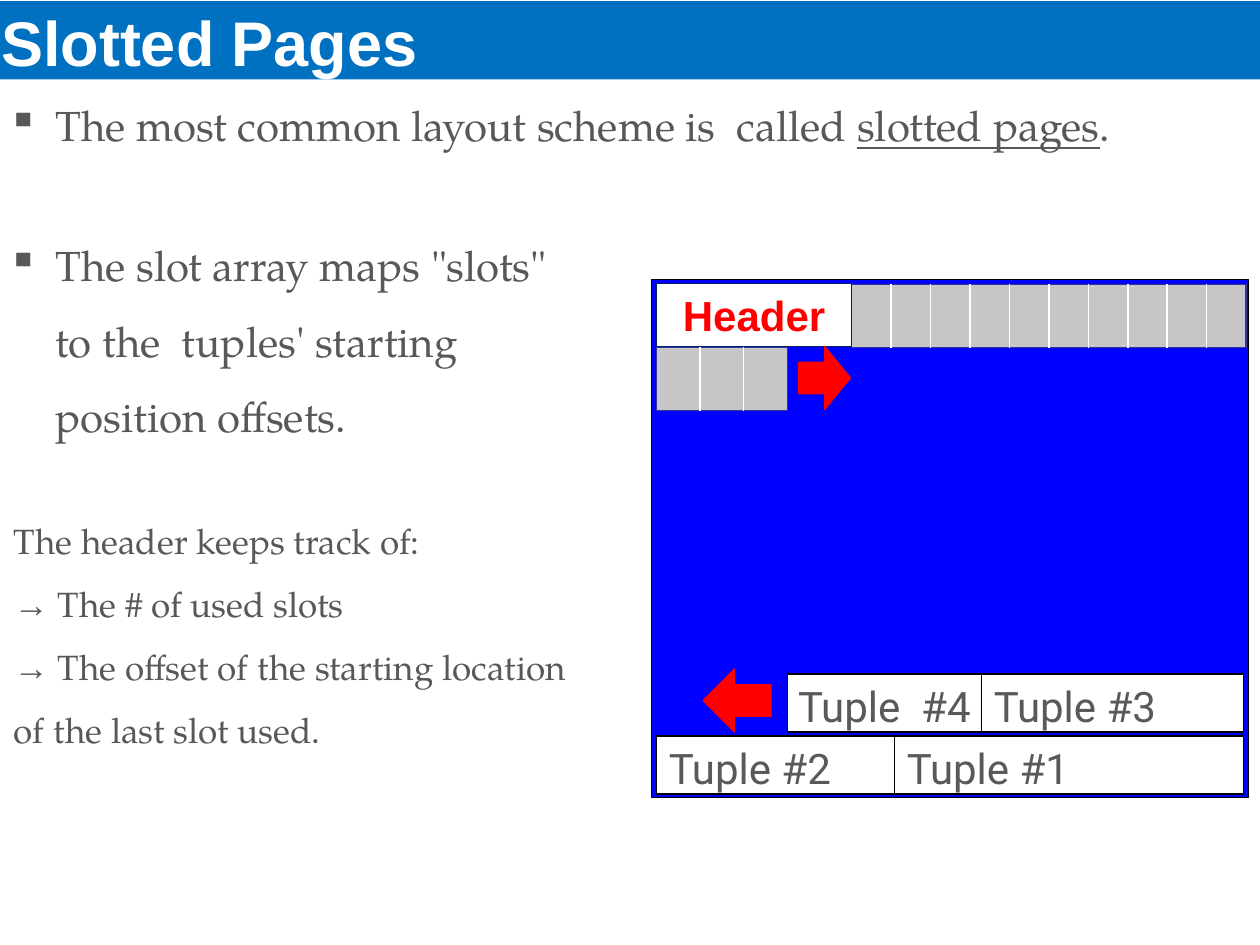
from lxml.etree import SubElement
from pptx import Presentation
from pptx.dml.color import RGBColor
from pptx.enum.shapes import MSO_SHAPE as Shape
from pptx.enum.text import MSO_ANCHOR as Anchor, MSO_AUTO_SIZE as Fit, PP_ALIGN as Align
from pptx.oxml.ns import qn
from pptx.util import Inches, Pt

# Content
TITLE = "Slotted Pages"
SERIF, ARROW_FONT = "TeX Gyre Pagella", "Times New Roman"
SCHEME = [[("The most common layout scheme is  called ", {}),
           ("slotted pages", {"underline": True}), (".", {})]]
SLOT_ARRAY = [[("The slot array maps \"slots\" to the  tuples' starting position offsets.", {})]]
HEADER_ROLE = [[("The header keeps track of:", {})]] + [
    [("→ ", {"name": ARROW_FONT}), (item, {})]
    for item in ("The # of used slots",
                 "The offset of the starting location of the last slot used.")]

# Text blocks: place, paragraphs, size, bulleted, format of paragraphs, space before the first
BLOCKS = [
    ((0.05, 0.77, 9.56, 0.42), SCHEME, 24, True, {"line_spacing": Pt(25.9)}, 4.2),
    ((0.05, 1.64, 4.58, 1.82), SLOT_ARRAY, 24, True, {"line_spacing": 1.5}, 25.1),
    ((0.1, 3.9, 4.66, 2.03), HEADER_ROLE, 20, False, {"line_spacing": 1.5}, 21.8),
]

# Page diagram: edges shared by its parts
LEFT, RIGHT = 5.21, 9.87
HEADER_TOP, HEADER_RIGHT, ROW = 2.25, 6.76, 0.5
TUPLE_TOPS, TUPLE_HEIGHT = (5.35, 5.84), 0.46
TUPLES = [  # text, row, left edge, right edge, alignment
    ("Tuple #2", 1, LEFT, 7.1, Align.LEFT),
    ("Tuple #1", 1, 7.1, RIGHT, Align.LEFT),
    ("Tuple #3", 0, 7.79, RIGHT, Align.LEFT),
    ("Tuple  #4", 0, 6.25, 7.79, Align.CENTER),
]
SLOTS = [  # left, top, width, slots
    (LEFT, HEADER_TOP + ROW + 0.01, 1.04, 3),
    (HEADER_RIGHT, HEADER_TOP + 0.01, 3.13, 10),
]
ARROWS = [
    (Shape.RIGHT_ARROW, (6.34, 2.75, 0.41, 0.5)),
    (Shape.LEFT_ARROW, (5.58, 5.31, 0.54, 0.5)),
]


def color(code):
    return RGBColor.from_string(code)


def assign(target, values):
    for name, value in values.items():
        setattr(target, name, value)


def add_span(para, text, code, **font):
    span = para.add_run()
    span.text = text
    assign(span.font, font)
    span.font.color.rgb = color(code)


def add_box(kind, place, fill, line=None, width=0.75):
    box = page.shapes.add_shape(kind, *map(Inches, place))
    box.shadow.inherit = False
    box.fill.solid()
    box.fill.fore_color.rgb = color(fill)
    if line:
        box.line.color.rgb = color(line)
        box.line.width = Pt(width)
    else:
        box.line.fill.background()
    return box


def label(box, text, code, align=Align.LEFT, frame=None, **font):
    assign(box.text_frame, {"vertical_anchor": Anchor.TOP, **(frame or {})})
    para = box.text_frame.paragraphs[0]
    para.alignment = align
    add_span(para, text, code, **font)
    return para


def add_block(place, paragraphs, size, bulleted, layout, first_space):
    frame = page.shapes.add_textbox(*map(Inches, place)).text_frame
    assign(frame, {"word_wrap": True, "auto_size": Fit.SHAPE_TO_FIT_TEXT, "margin_left": 0,
                   "margin_top": Inches(0.06), "margin_right": 0, "margin_bottom": 0})
    for index, spans in enumerate(paragraphs):
        para = frame.add_paragraph() if index else frame.paragraphs[0]
        assign(para, {**layout, "space_before": Pt(0 if index else first_space)})
        props = para._p.get_or_add_pPr()
        props.set("marL", str(Inches(0.39 if bulleted else 0.01)))
        props.set("indent", str(Inches(-0.38 if bulleted else 0)))
        if bulleted:
            SubElement(props, qn("a:buChar"), char="▪")
        for text, font in spans:
            add_span(para, text, "585858", **{"name": SERIF, "size": Pt(size), **font})


def add_border(cell, side, code):
    line = SubElement(cell._tc.get_or_add_tcPr(), qn("a:" + side), w=str(Pt(1)))
    SubElement(SubElement(line, qn("a:solidFill")), qn("a:srgbClr"), val=code)


def add_slots(left, top, width, count):
    table = page.shapes.add_table(1, count, *map(Inches, (left, top, width, ROW))).table
    assign(table, {"first_row": False, "horz_banding": False})
    for index, column in enumerate(table.columns):
        column.width = Inches(width / count)
        cell = table.cell(0, index)
        # Outer edges are navy, dividers white; borders come before the fill
        ends = {"lnL": index == 0, "lnR": index == count - 1, "lnT": True, "lnB": True}
        for side, outer in ends.items():
            add_border(cell, side, "333399" if outer else "FFFFFF")
        cell.fill.solid()
        cell.fill.fore_color.rgb = color("C6C6C6")


deck = Presentation()
assign(deck, {"slide_width": Inches(10), "slide_height": Inches(7.5)})
page = deck.slides.add_slide(deck.slide_layouts[6])

# Page background and title bar
add_box(Shape.RECTANGLE, (5.17, 2.22, 4.74, 4.11), "0000FF", "000000")
bar = add_box(Shape.RECTANGLE, (0, 0.01, 10, 0.62), "0070C0")
heading = label(bar, TITLE, "FFFFFF", name="Arial", size=Pt(36), bold=True,
                frame={"vertical_anchor": Anchor.BOTTOM, "margin_left": 0, "margin_right": 0,
                       "margin_top": Inches(0.01), "margin_bottom": 0})
heading.space_before = Pt(0.9)
heading._p.get_or_add_pPr().set("marL", str(Inches(0.01)))

# Explanations
for block in BLOCKS:
    add_block(*block)

# Slot array and header
for slots in SLOTS:
    add_slots(*slots)
header = add_box(Shape.RECTANGLE, (LEFT, HEADER_TOP, HEADER_RIGHT - LEFT, ROW), "FFFFFF", "002060")
label(header, "Header", "FF0000", Align.CENTER, name="Arial", size=Pt(24), bold=True)

# Tuples
for text, row, start, end, align in TUPLES:
    place = (start, TUPLE_TOPS[row], end - start, TUPLE_HEIGHT)
    box = add_box(Shape.RECTANGLE, place, "FFFFFF", "000000", 1)
    label(box, text, "595959", align, {"word_wrap": False}, name="Roboto", size=Pt(24))

# Directions of growth
for kind, place in ARROWS:
    add_box(kind, place, "FF0000", "FF0000")

deck.save("out.pptx")
